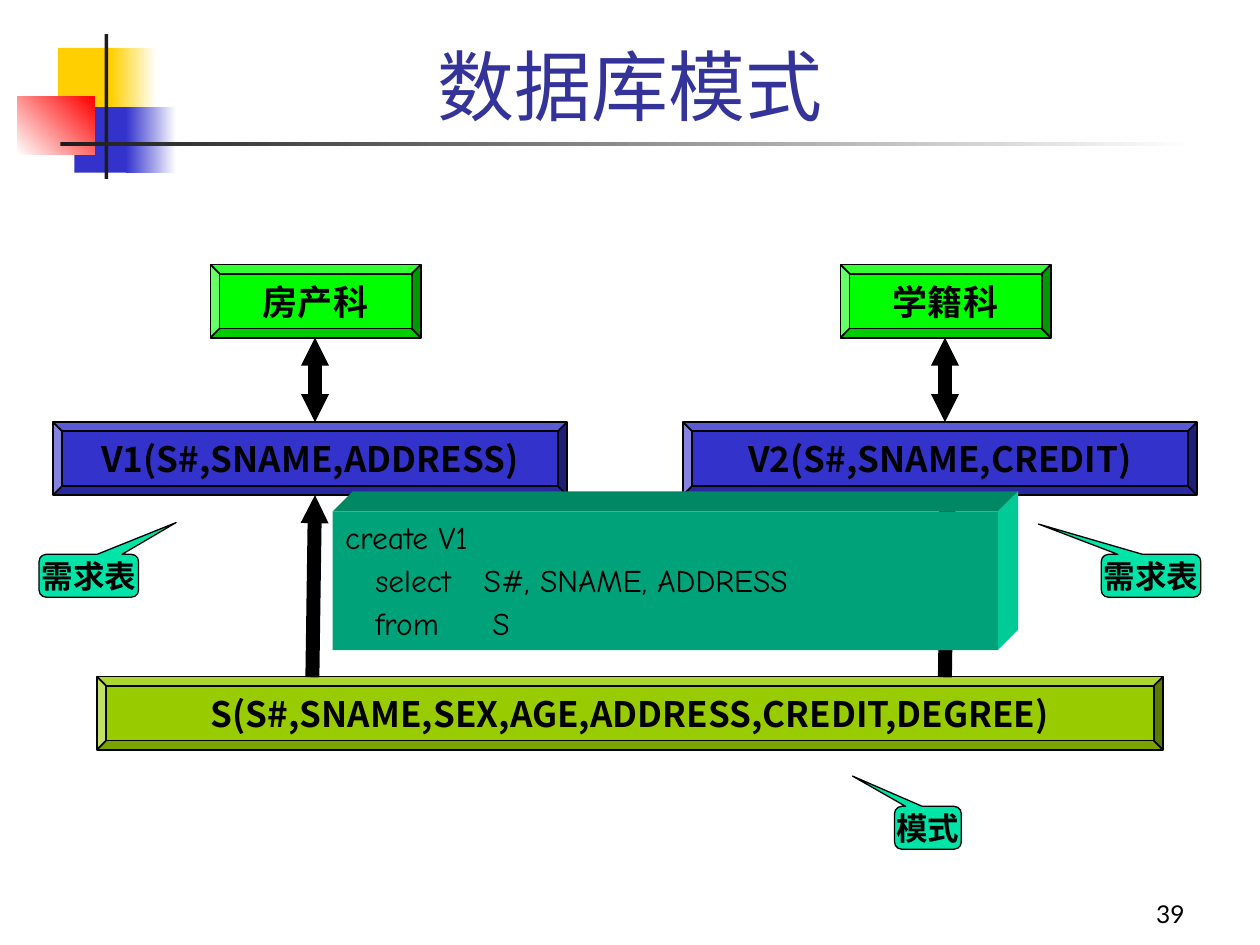
from lxml.etree import SubElement
from pptx import Presentation
from pptx.dml.color import RGBColor
from pptx.enum.shapes import MSO_CONNECTOR, MSO_SHAPE
from pptx.enum.text import MSO_ANCHOR, PP_ALIGN
from pptx.oxml.ns import qn
from pptx.util import Inches, Pt

HEX = {
    "black": "000000", "white": "FFFFFF", "ink": "1C1C1C", "title": "333399",
    "gold": "FFCF01", "blue": "3333CC", "red": "FF0000", "green": "00FF00",
    "lime": "99CC00", "mint": "00E4A8",
    "front": "00A27A", "top": "008763", "side": "00CB96",
}
SANS, LATIN, COMIC = "Noto Sans CJK SC", "Lato", "Comic Neue"


def color(name):
    """Return the named colour."""
    return RGBColor.from_string(HEX[name])


def write(frame, *lines, size=20, font=SANS, hue="black", bold=False,
          align=PP_ALIGN.CENTER, anchor=MSO_ANCHOR.MIDDLE, wrap=False,
          inset=None, before=0):
    """Fill a text frame with formatted paragraphs."""
    frame.word_wrap = wrap
    frame.vertical_anchor = anchor
    if inset is not None:
        frame.margin_left = frame.margin_right = Inches(inset)
        frame.margin_top = frame.margin_bottom = Inches(inset)
    for i, line in enumerate(lines):
        para = frame.add_paragraph() if i else frame.paragraphs[0]
        para.alignment = align
        para.space_before = Pt(before)
        run = para.add_run()
        run.text = line
        run.font.size, run.font.bold, run.font.name = Pt(size), bold, font
        run.font.color.rgb = color(hue)
        SubElement(run.font._element, qn("a:ea"), typeface=SANS)


def paint(shape, fill, line=None):
    """Set the fill and outline of a shape, without a shadow."""
    shape.shadow.inherit = False
    shape.fill.solid()
    shape.fill.fore_color.rgb = color(fill)
    if line:
        shape.line.color.rgb = color("black")
        shape.line.width = Pt(line)
    else:
        shape.line.fill.background()
    return shape


def block(slide, kind, box, fill, line=None):
    """Add a painted preset shape."""
    return paint(slide.shapes.add_shape(kind, *map(Inches, box)), fill, line)


def fade(slide, box, start, end, angle=0):
    """Add a rectangle with a two-colour gradient."""
    fill = block(slide, MSO_SHAPE.RECTANGLE, box, start).fill
    fill.gradient()
    fill.gradient_angle = angle
    for stop, name, place in zip(fill.gradient_stops, (start, end), (0, 1)):
        stop.color.rgb = color(name)
        stop.position = place


def slab(slide, left, top, width, text, fill):
    """Add a bevelled box with a bold label."""
    shape = block(slide, MSO_SHAPE.BEVEL, (left, top, width, 0.58), fill, 1)
    shape.adjustments[0] = 0.125
    write(shape.text_frame, text, bold=True)


def note(slide, left, top, width, text, tip):
    """Add a callout whose tip is given relative to its size."""
    shape = block(slide, MSO_SHAPE.ROUNDED_RECTANGULAR_CALLOUT,
                  (left, top, width, 0.34), "mint", 0.75)
    for i, value in enumerate((*tip, 0.167)):
        shape.adjustments[i] = value
    write(shape.text_frame, text, size=18, bold=True, inset=0)


def arrow(slide, start, end, both=False):
    """Add a thick arrow, with heads at one or both ends."""
    link = slide.shapes.add_connector(
        MSO_CONNECTOR.STRAIGHT, *map(Inches, (*start, *end)))
    link.line.color.rgb = color("black")
    link.line.width = Pt(8)
    props = link._element.spPr
    line = props.find(qn("a:ln"))
    line.set("cap", "sq")
    for tag in ("a:headEnd", "a:tailEnd") if both else ("a:tailEnd",):
        SubElement(line, qn(tag), type="triangle", w="sm", len="sm")
    SubElement(props, qn("a:effectLst"))


def face(slide, points, fill):
    """Add a filled polygon."""
    first, *rest = [(Inches(x), Inches(y)) for x, y in points]
    path = slide.shapes.build_freeform(*first)
    path.add_line_segments(rest)
    paint(path.convert_to_shape(), fill)


def query(slide):
    """Add the solid panel with the view definition."""
    left, top, width, height, deep = 2.64, 4.06, 5.28, 1.1, 0.16
    right, base = left + width, top + height
    face(slide, [(left, top), (left + deep, top - deep),
                 (right + deep, top - deep), (right, top)], "top")
    face(slide, [(right, top), (right + deep, top - deep),
                 (right + deep, base - deep), (right, base)], "side")
    panel = block(slide, MSO_SHAPE.RECTANGLE, (left, top, width, height), "front")
    write(panel.text_frame, "create V1", "\tselect\tS#, SNAME, ADDRESS",
          "\tfrom\tS", size=18, font=COMIC, align=PP_ALIGN.LEFT,
          anchor=MSO_ANCHOR.TOP, wrap=True, before=3)
    for para, stop in zip(panel.text_frame.paragraphs[1:], (1.1, 1.17)):
        tabs = SubElement(para._p.get_or_add_pPr(), qn("a:tabLst"))
        for place in (0.24, stop):
            SubElement(tabs, qn("a:tab"), pos=str(Inches(place)), algn="l")


def decor(slide):
    """Add the coloured squares and rules of the header."""
    rect = MSO_SHAPE.RECTANGLE
    block(slide, rect, (0.46, 0.38, 0.48, 0.52), "gold")
    fade(slide, (0.88, 0.38, 0.36, 0.52), "gold", "white")
    block(slide, rect, (0.59, 0.85, 0.46, 0.52), "blue")
    fade(slide, (1, 0.85, 0.4, 0.52), "blue", "white")
    fade(slide, (0.14, 0.77, 0.61, 0.46), "white", "red", 45)
    block(slide, rect, (0.83, 0.27, 0.03, 1.15), "ink")
    fade(slide, (0.48, 1.13, 9, 0.03), "ink", "white")


def header(slide):
    """Place the title and the page number."""
    title = slide.shapes.title
    title.left, title.top = Inches(0.75), Inches(0.09)
    title.width, title.height = Inches(8.5), Inches(1)
    write(title.text_frame, "数据库模式", size=44, font=LATIN, hue="title",
          anchor=MSO_ANCHOR.BOTTOM, wrap=True)
    page = slide.shapes.add_textbox(*map(Inches, (7.42, 6.92, 2.08, 0.5)))
    write(page.text_frame, "39", size=14, font=LATIN, align=PP_ALIGN.RIGHT,
          anchor=MSO_ANCHOR.BOTTOM, wrap=True)


def main():
    """Build and save the slide."""
    deck = Presentation()
    deck.slide_width, deck.slide_height = Inches(10), Inches(7.5)
    slide = deck.slides.add_slide(deck.slide_layouts[5])
    decor(slide)
    header(slide)
    slab(slide, 0.77, 5.37, 8.46,
         "S(S#,SNAME,SEX,AGE,ADDRESS,CREDIT,DEGREE)", "lime")
    views = [
        (2.5, "房产科", "V1(S#,SNAME,ADDRESS)", (2.48, 2.5)),
        (7.5, "学籍科", "V2(S#,SNAME,CREDIT)", (7.5, 7.52)),
    ]
    for mid, office, view, (low, high) in views:
        slab(slide, mid - 0.83, 2.1, 1.67, office, "green")
        slab(slide, mid - 2.08, 3.35, 4.08, view, "blue")
        arrow(slide, (mid, 3.35), (mid, 2.68), both=True)
        arrow(slide, (low, 5.32), (high, 3.93))
    note(slide, 0.31, 4.4, 0.79, "需求表", (0.877, -1.242))
    note(slide, 8.74, 4.4, 0.79, "需求表", (-1.13, -1.207))
    note(slide, 7.1, 6.4, 0.53, "模式", (-1.13, -1.207))
    query(slide)
    deck.save("out.pptx")


if __name__ == "__main__":
    main()
